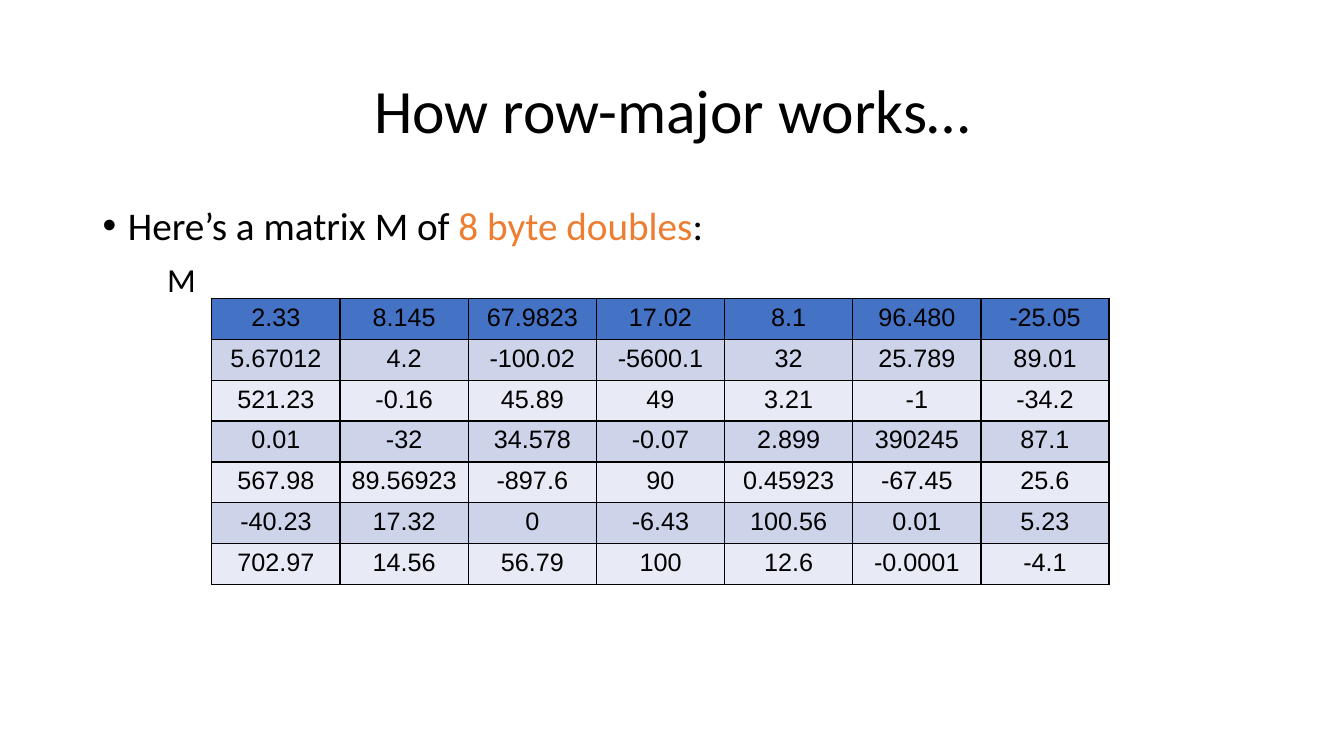
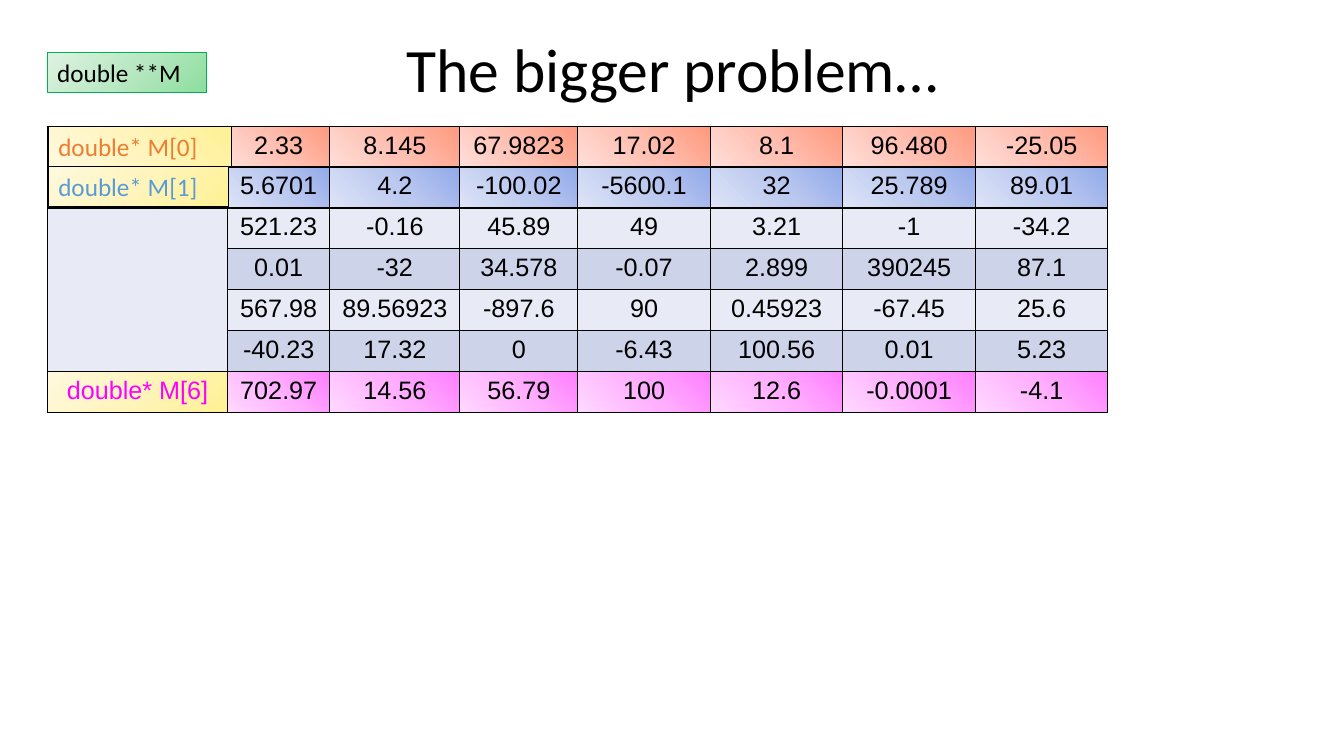
from lxml.etree import SubElement
from pptx import Presentation
from pptx.dml.color import RGBColor
from pptx.enum.shapes import MSO_SHAPE as Shape
from pptx.enum.text import MSO_ANCHOR as Anchor, PP_ALIGN as Align
from pptx.oxml.ns import qn
from pptx.util import Cm, Pt

BLACK, ORANGE, SKY, MAGENTA, GREEN = "000000", "ED7D31", "5B9BD5", "FF00FF", "00B050"
HEADER, DARK_BAND, LIGHT_BAND = "4472C4", "CDD4EA", "E8EBF5"
TOP_RIGHT, BOTTOM_RIGHT = {"l": "100000", "b": "100000"}, {"l": "100000", "t": "100000"}
RED_SHADE = ("FF997E FFBFB1 FFDFD9", TOP_RIGHT)
BLUE_SHADE = ("92AAEA BDCAF0 DEE4F7",)
PINK_SHADE = ("FF7EFF FFB1FF FFD9FF",)
YELLOW = "FFF194 FFF4BC FFF9DE"
YELLOW_SHADE = (YELLOW, BOTTOM_RIGHT)
GREEN_SHADE = ("8CDE9E BAE8C3 DEF2E1", BOTTOM_RIGHT)


def paint(properties, colours, focus=None):
    """Append a solid fill for one colour, else a gradient: diagonal, or circular from focus."""
    stops = colours.split()
    if len(stops) == 1:
        SubElement(SubElement(properties, qn("a:solidFill")), qn("a:srgbClr"), val=colours)
        return
    gradient = SubElement(properties, qn("a:gradFill"), rotWithShape="1")
    stop_list = SubElement(gradient, qn("a:gsLst"))
    for position, colour in zip((0, 50000, 100000), stops):
        stop = SubElement(stop_list, qn("a:gs"), pos=str(position))
        SubElement(stop, qn("a:srgbClr"), val=colour)
    if focus:
        circle = SubElement(gradient, qn("a:path"), {"path": "circle"})
        SubElement(circle, qn("a:fillToRect"), focus)
    else:
        SubElement(gradient, qn("a:lin"), ang="8100000", scaled="1")


def write(frame, runs, size, font="Calibri", align=Align.LEFT, spacing=1.0):
    """Fill the first paragraph of a text frame with (text, colour) runs."""
    frame.word_wrap = True
    paragraph = frame.paragraphs[0]
    paragraph.alignment, paragraph.line_spacing = align, spacing
    for text, colour in runs:
        run = paragraph.add_run()
        run.text = text
        run.font.size, run.font.name = Pt(size), font
        run.font.color.rgb = RGBColor.from_string(colour)


prs = Presentation()
prs.slide_width, prs.slide_height = Cm(33.87), Cm(19.05)

matrix = [row.split() for row in (
    "2.33 8.145 67.9823 17.02 8.1 96.480 -25.05",
    "5.67012 4.2 -100.02 -5600.1 32 25.789 89.01",
    "521.23 -0.16 45.89 49 3.21 -1 -34.2",
    "0.01 -32 34.578 -0.07 2.899 390245 87.1",
    "567.98 89.56923 -897.6 90 0.45923 -67.45 25.6",
    "-40.23 17.32 0 -6.43 100.56 0.01 5.23",
    "702.97 14.56 56.79 100 12.6 -0.0001 -4.1",
)]
bands = [(HEADER,)] + [(DARK_BAND,), (LIGHT_BAND,)] * 3

# The second table puts a column of row pointers before the matrix
pointer_rows = [[""] + row for row in matrix]
pointer_rows[1][1] = "5.6701"
pointer_rows[6][0] = "double* M[6]"
row_shades = {0: RED_SHADE, 1: BLUE_SHADE, 6: PINK_SHADE}
matrix_fills = [[band] * 7 for band in bands]
pointer_fills = [[band] + [row_shades.get(i, band)] * 7 for i, band in enumerate(bands)]
pointer_fills[6][0] = YELLOW_SHADE

pages = [
    ("How row-major works…", 1.02, (5.34, 7.52), [3.23] * 7, matrix, matrix_fills),
    ("The bigger problem…", 0, (1.19, 3.18), [4.55, 2.57, 3.28, 2.97] + [3.34] * 4,
     pointer_rows, pointer_fills),
]
slides = []
for title, title_top, (left, top), widths, rows, fills in pages:
    slide = prs.slides.add_slide(prs.slide_layouts[6])
    slides.append(slide)
    heading = slide.shapes.add_textbox(Cm(2.34), Cm(title_top), Cm(29.21), Cm(3.68)).text_frame
    heading.vertical_anchor = Anchor.MIDDLE
    write(heading, [(title, BLACK)], 44, align=Align.CENTER, spacing=0.9)

    grid = slide.shapes.add_table(len(rows), len(widths), Cm(left), Cm(top),
                                  Cm(sum(widths)), Cm(1.03 * len(rows))).table
    grid.first_row = grid.horz_banding = False
    for column, width in zip(grid.columns, widths):
        column.width = Cm(width)
    if rows is pointer_rows:
        grid.cell(2, 0).merge(grid.cell(5, 0))
    for i, row in enumerate(rows):
        for j, value in enumerate(row):
            cell = grid.cell(i, j)
            if cell.is_spanned:
                continue
            properties = cell._tc.get_or_add_tcPr()
            for side in ("a:lnL", "a:lnR", "a:lnT", "a:lnB"):
                paint(SubElement(properties, qn(side), w="12700"), BLACK)
            paint(properties, *fills[i][j])
            if value:
                colour = MAGENTA if value.startswith("double") else BLACK
                write(cell.text_frame, [(value, colour)], 18, "Arial", Align.CENTER)

row_major, problem = slides

# Introduction and matrix name
intro = row_major.shapes.add_textbox(Cm(2.34), Cm(5.08), Cm(29.21), Cm(12.09)).text_frame
bullet = intro.paragraphs[0]._p.get_or_add_pPr()
bullet.set("marL", "228600")
bullet.set("indent", "-228600")
SubElement(bullet, qn("a:buFont"), typeface="Arial")
SubElement(bullet, qn("a:buChar"), char="•")
write(intro, [("Here’s a matrix M of ", BLACK), ("8 byte doubles", ORANGE), (":", BLACK)],
      28, spacing=0.9)
matrix_name = row_major.shapes.add_textbox(Cm(3.96), Cm(6.4), Cm(1.6), Cm(1.27))
write(matrix_name.text_frame, [("M", BLACK)], 24)

# Pointer boxes
for text, colour, left, top, width, shade, outline in (
    ("double* M[0]", ORANGE, 1.22, 3.18, 4.62, (YELLOW,), BLACK),
    ("double* M[1]", SKY, 1.22, 4.19, 4.55, YELLOW_SHADE, BLACK),
    ("double **M", BLACK, 1.19, 1.32, 4.01, GREEN_SHADE, GREEN),
):
    pointer = problem.shapes.add_shape(Shape.RECTANGLE, Cm(left), Cm(top), Cm(width), Cm(1.02))
    paint(pointer._element.spPr, *shade)
    pointer.line.color.rgb = RGBColor.from_string(outline)
    pointer.line.width = Pt(0.75)
    pointer.shadow.inherit = False
    pointer.text_frame.vertical_anchor = Anchor.TOP
    write(pointer.text_frame, [(text, colour)], 18)

prs.save("out.pptx")
